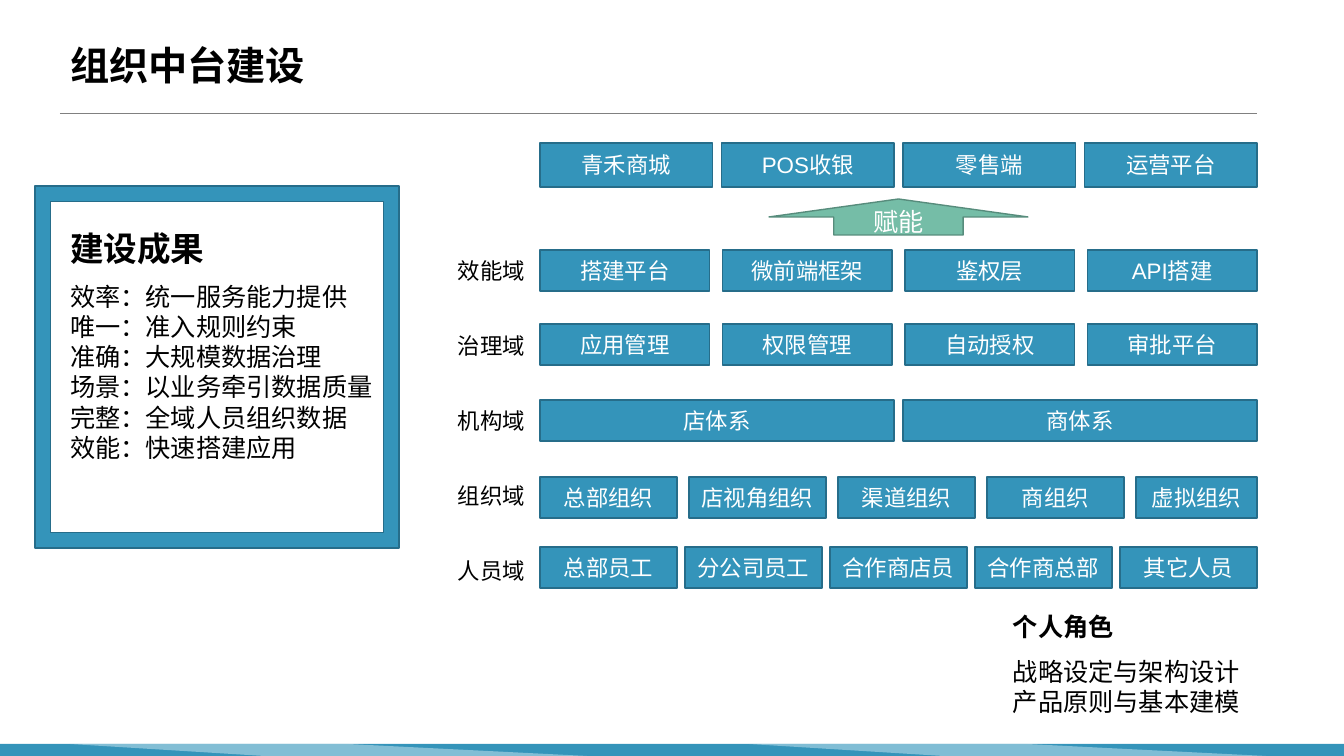
import dataclasses

import pptx
import pptx.dml.color
import pptx.enum.lang
import pptx.enum.shapes
import pptx.enum.text
import pptx.oxml.ns
import pptx.util
from lxml import etree

SCALE = 914400 / 100.8
SHAPE = pptx.enum.shapes.MSO_SHAPE
ALIGN = pptx.enum.text.PP_ALIGN
MIDDLE = pptx.enum.text.MSO_ANCHOR.MIDDLE
FIT = pptx.enum.text.MSO_AUTO_SIZE


@dataclasses.dataclass(frozen=True)
class Theme:
    """Colours, fonts and type sizes of the slide."""
    blue: str = "3494BA"
    edge: str = "266D8A"
    green: str = "75BDA7"
    moss: str = "578C7C"
    pale: str = "D4EAF3"
    grey: str = "808080"
    black: str = "000000"
    white: str = "FFFFFF"
    font: str = "Arial"
    head: str = "Noto Sans CJK SC"
    title: int = 28
    large: int = 24
    text: int = 18
    small: int = 16


THEME = Theme()
LEFT, RIGHT = 540, 1257

# label, top, height, gap, cell width (None shares the row evenly), cells
ROWS = [
    (None, 143, 44, 9, None, ["青禾商城", "POS收银", "零售端", "运营平台"]),
    ("效能域", 250, 41, 13, None, ["搭建平台", "微前端框架", "鉴权层", "API搭建"]),
    ("治理域", 324, 41, 13, None, ["应用管理", "权限管理", "自动授权", "审批平台"]),
    ("机构域", 400, 41, 9, None, ["店体系", "商体系"]),
    ("组织域", 477, 41, 12, 137,
     ["总部组织", "店视角组织", "渠道组织", "商组织", "虚拟组织"]),
    ("人员域", 547, 41, 8, None,
     ["总部员工", "分公司员工", "合作商店员", "合作商总部", "其它人员"]),
]

RESULTS = ["效率：统一服务能力提供", "唯一：准入规则约束", "准确：大规模数据治理",
           "场景：以业务牵引数据质量", "完整：全域人员组织数据", "效能：快速搭建应用"]
ROLES = ["战略设定与架构设计", "产品原则与基本建模"]


def px(*sides):
    """Turn pixels into EMU."""
    return [pptx.util.Emu(round(side * SCALE)) for side in sides]


def rgb(code):
    """Give the colour for a hex code."""
    return pptx.dml.color.RGBColor.from_string(code)


def add_run(para, words, size, color, bold=False, face=THEME.font):
    """Add one run of formatted text."""
    run = para.add_run()
    run.text = words
    font = run.font
    font.size, font.bold = pptx.util.Pt(size), bold
    font.color.rgb = rgb(color)
    font.name = face
    font.language_id = pptx.enum.lang.MSO_LANGUAGE_ID.SIMPLIFIED_CHINESE
    east = etree.SubElement(run._r.get_or_add_rPr(), pptx.oxml.ns.qn("a:ea"))
    east.set("typeface", face)


def add_lines(frame, head, size, gap, lines):
    """Write a bold heading with plain lines beneath it."""
    for i, words in enumerate([head, *lines]):
        para = frame.paragraphs[0] if i == 0 else frame.add_paragraph()
        para.alignment = ALIGN.LEFT
        para.space_before = pptx.util.Pt(0)
        para.space_after = pptx.util.Pt(0 if i else gap)
        props = para._p.get_or_add_pPr()
        props.set("marL", "0")
        props.set("indent", "0")
        etree.SubElement(props, pptx.oxml.ns.qn("a:buNone"))
        add_run(para, words, THEME.text if i else size, THEME.black, not i)


def place(shape, *box):
    """Move and size a placeholder."""
    shape.left, shape.top, shape.width, shape.height = px(*box)


def paint(shape, fill, line=None):
    """Set fill and outline, without shadow."""
    shape.shadow.inherit = False
    shape.fill.solid()
    shape.fill.fore_color.rgb = rgb(fill)
    if line:
        shape.line.color.rgb = rgb(line)
        shape.line.width = pptx.util.Pt(1)
    else:
        shape.line.fill.background()


def add_box(slide, kind, box, fill, line=None, words=None, size=THEME.small):
    """Add a preset shape with centred text if given."""
    shape = slide.shapes.add_shape(kind, *px(*box))
    paint(shape, fill, line)
    if words:
        frame = shape.text_frame
        frame.vertical_anchor = MIDDLE
        para = frame.paragraphs[0]
        para.alignment = ALIGN.CENTER
        add_run(para, words, size, THEME.white)
    return shape


def add_note(slide, *box):
    """Add a text box without wrapping and give its frame."""
    frame = slide.shapes.add_textbox(*px(*box)).text_frame
    frame.word_wrap = False
    frame.auto_size = FIT.SHAPE_TO_FIT_TEXT
    return frame


def add_row(slide, top, high, gap, wide, cells):
    """Lay out one row of cells; the last one ends at the right edge."""
    wide = wide or (RIGHT - LEFT - gap * (len(cells) - 1)) / len(cells)
    for i, words in enumerate(cells):
        left = LEFT + i * (wide + gap)
        box = (left, top, min(wide, RIGHT - left), high)
        add_box(slide, SHAPE.RECTANGLE, box, THEME.blue, THEME.edge, words)


def add_band(slide, left, alpha):
    """Add one see-through slanted band of the footer."""
    pen = slide.shapes.build_freeform(left + 517, 756, SCALE)
    pen.add_line_segments([(left + 278, 744), (left, 744), (left + 194, 756)])
    band = pen.convert_to_shape()
    paint(band, THEME.pale)
    color = band.fill._xPr.find(".//" + pptx.oxml.ns.qn("a:srgbClr"))
    etree.SubElement(color, pptx.oxml.ns.qn("a:alpha")).set("val", str(alpha * 1000))


def add_rule(slide, left, right, top):
    """Add the thin line below the title."""
    kind = pptx.enum.shapes.MSO_CONNECTOR.STRAIGHT
    rule = slide.shapes.add_connector(kind, *px(left, top, right, top))
    rule.line.color.rgb = rgb(THEME.grey)
    rule.line.width = pptx.util.Pt(0.5)
    etree.SubElement(rule._element.spPr, pptx.oxml.ns.qn("a:effectLst"))


def add_title(slide, words):
    """Fill the title placeholder."""
    title = slide.shapes.title
    place(title, 60, 23, 1198, 90)
    frame = title.text_frame
    frame.auto_size, frame.vertical_anchor = FIT.NONE, MIDDLE
    para = frame.paragraphs[0]
    para.alignment, para.line_spacing = ALIGN.LEFT, 0.9
    add_run(para, words, THEME.title, THEME.black, True, THEME.head)


def main():
    """Build the slide and save it."""
    deck = pptx.Presentation()
    deck.slide_width, deck.slide_height = px(1344, 756)
    slide = deck.slides.add_slide(deck.slide_layouts[1])

    add_box(slide, SHAPE.RECTANGLE, (0, 744, 1344, 12), THEME.blue)
    add_band(slide, 70, 49)
    add_band(slide, 749, 48)
    add_rule(slide, 60, 1257, 113)
    add_title(slide, "组织中台建设")

    body = slide.placeholders[1]
    place(body, 60, 223, 326, 248)
    body.text_frame.auto_size = FIT.NONE
    add_lines(body.text_frame, "建设成果", THEME.large, 9, RESULTS)
    border = add_box(slide, SHAPE.FRAME, (35, 186, 364, 362), THEME.blue, THEME.edge)
    border.adjustments[0] = 0.043

    for i, (label, *row) in enumerate(ROWS):
        add_row(slide, *row)
        if label:
            frame = add_note(slide, 448, 177 + 75 * i, 89, 37)
            add_run(frame.paragraphs[0], label, THEME.small, THEME.black)
    add_box(slide, SHAPE.UP_ARROW, (769, 199, 259, 36), THEME.green, THEME.moss,
            "赋能", THEME.text)

    roles = add_note(slide, 1003, 606, 249, 117)
    add_lines(roles, "个人角色", THEME.text, 11, ROLES)
    deck.save("out.pptx")


main()
